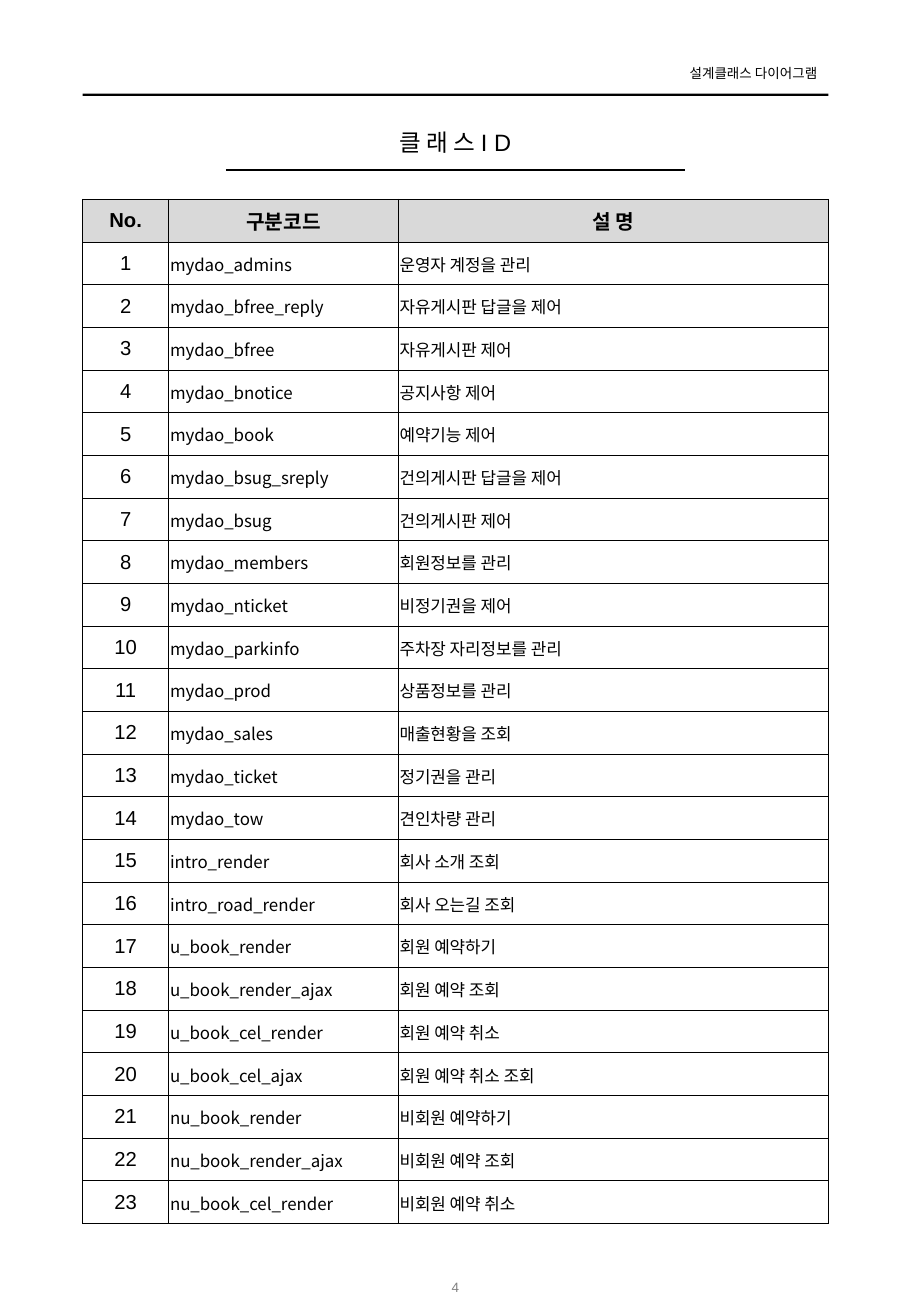
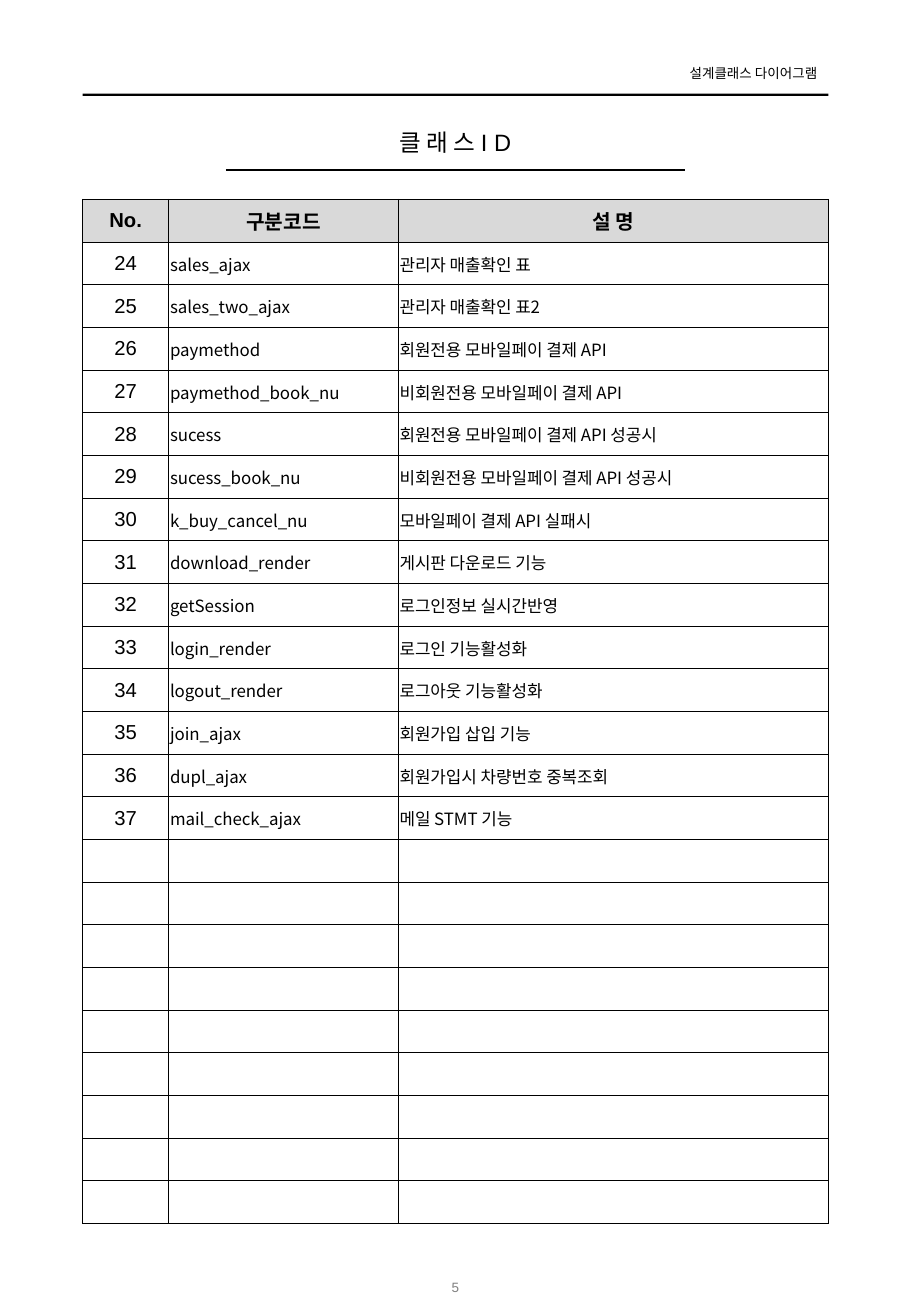
from dataclasses import dataclass
from itertools import zip_longest

from lxml.etree import SubElement
from pptx import Presentation
from pptx.dml.color import RGBColor
from pptx.enum.shapes import MSO_CONNECTOR, MSO_SHAPE
from pptx.enum.text import MSO_ANCHOR, MSO_AUTO_SIZE, PP_ALIGN
from pptx.oxml import parse_xml
from pptx.oxml.ns import nsdecls, qn
from pptx.util import Inches, Pt


@dataclass(frozen=True)
class Theme:
    ink: str = "000000"
    muted: str = "808080"
    header_fill: str = "D9D9D9"
    paper: str = "FFFFFF"
    heading_font: str = "Arial"
    body_font: str = "Noto Sans CJK KR"
    small_size: float = 8
    body_size: float = 10
    table_size: float = 12
    title_size: float = 14
    border_width: float = 0.5


@dataclass(frozen=True)
class Grid:
    width: float = 7.5
    height: float = 10.83
    margin: float = 0.68
    content: float = 6.14
    table_top: float = 1.64
    table_height: float = 8.43
    body_rows: int = 23
    columns: tuple = (0.71, 1.89, 3.54)


THEME = Theme()
GRID = Grid()
RUNNING_HEAD = "설계클래스 다이어그램"
TITLE = "클 래 스 I D"
HEADINGS = ("No.", "구분코드", "설 명")
FIRST_PAGE = 4
CLASSES = (
    ("mydao_admins", "운영자 계정을 관리"),
    ("mydao_bfree_reply", "자유게시판 답글을 제어"),
    ("mydao_bfree", "자유게시판 제어"),
    ("mydao_bnotice", "공지사항 제어"),
    ("mydao_book", "예약기능 제어"),
    ("mydao_bsug_sreply", "건의게시판 답글을 제어"),
    ("mydao_bsug", "건의게시판 제어"),
    ("mydao_members", "회원정보를 관리"),
    ("mydao_nticket", "비정기권을 제어"),
    ("mydao_parkinfo", "주차장 자리정보를 관리"),
    ("mydao_prod", "상품정보를 관리"),
    ("mydao_sales", "매출현황을 조회"),
    ("mydao_ticket", "정기권을 관리"),
    ("mydao_tow", "견인차량 관리"),
    ("intro_render", "회사 소개 조회"),
    ("intro_road_render", "회사 오는길 조회"),
    ("u_book_render", "회원 예약하기"),
    ("u_book_render_ajax", "회원 예약 조회"),
    ("u_book_cel_render", "회원 예약 취소"),
    ("u_book_cel_ajax", "회원 예약 취소 조회"),
    ("nu_book_render", "비회원 예약하기"),
    ("nu_book_render_ajax", "비회원 예약 조회"),
    ("nu_book_cel_render", "비회원 예약 취소"),
    ("sales_ajax", "관리자 매출확인 표"),
    ("sales_two_ajax", "관리자 매출확인 표2"),
    ("paymethod", "회원전용 모바일페이 결제 API"),
    ("paymethod_book_nu", "비회원전용 모바일페이 결제 API"),
    ("sucess", "회원전용 모바일페이 결제 API 성공시"),
    ("sucess_book_nu", "비회원전용 모바일페이 결제 API 성공시"),
    ("k_buy_cancel_nu", "모바일페이 결제 API 실패시"),
    ("download_render", "게시판 다운로드 기능"),
    ("getSession", "로그인정보 실시간반영"),
    ("login_render", "로그인 기능활성화"),
    ("logout_render", "로그아웃 기능활성화"),
    ("join_ajax", "회원가입 삽입 기능"),
    ("dupl_ajax", "회원가입시 차량번호 중복조회"),
    ("mail_check_ajax", "메일 STMT 기능"),
)


def color(value):
    return RGBColor.from_string(value)


def set_text(text_frame, text, size, align, font=THEME.heading_font, ink=THEME.ink, bold=False):
    text_frame.text = text
    paragraph = text_frame.paragraphs[0]
    paragraph.alignment = align
    for run in paragraph.runs:
        run.font.name = font
        run.font.size = Pt(size)
        run.font.bold = bold
        run.font.color.rgb = color(ink)
        if font == THEME.body_font:
            SubElement(run.font._element, qn("a:ea"), typeface=font)


def set_margins(target, left, top, right, bottom):
    target.margin_left, target.margin_top = Inches(left), Inches(top)
    target.margin_right, target.margin_bottom = Inches(right), Inches(bottom)


def format_frame(text_frame, margins):
    text_frame.word_wrap = True
    text_frame.auto_size = MSO_AUTO_SIZE.NONE
    text_frame.vertical_anchor = MSO_ANCHOR.MIDDLE
    set_margins(text_frame, *margins)


def add_label(slide, box, text, align, margins, ink=THEME.ink):
    label = slide.shapes.add_textbox(*map(Inches, box))
    format_frame(label.text_frame, margins)
    set_text(label.text_frame, text, THEME.small_size, align, ink=ink)


def add_bar(slide, box):
    bar = slide.shapes.add_shape(MSO_SHAPE.RECTANGLE, *map(Inches, box))
    bar.shadow.inherit = False
    bar.fill.solid()
    bar.fill.fore_color.rgb = color(THEME.ink)
    bar.line.fill.background()


def add_rule(slide, left, right, top):
    ends = map(Inches, (left, top, right, top))
    rule = slide.shapes.add_connector(MSO_CONNECTOR.STRAIGHT, *ends)
    rule.line.color.rgb = color(THEME.ink)
    rule.line.width = Pt(1)
    SubElement(rule._element.spPr, qn("a:effectLst"))


def set_title(slide):
    title = slide.shapes.title
    title.left, title.top = Inches(GRID.margin), Inches(1.01)
    title.width, title.height = Inches(GRID.content), Inches(0.32)
    format_frame(title.text_frame, (0, 0.05, 0, 0.05))
    set_text(title.text_frame, TITLE, THEME.title_size, PP_ALIGN.CENTER)


def add_frame(slide, page):
    add_bar(slide, (GRID.margin, 0.77, GRID.content, 0.02))
    add_label(slide, (5.47, 0.48, 1.34, 0.24), RUNNING_HEAD, PP_ALIGN.RIGHT, (0.1, 0.05, 0.08, 0.05))
    add_rule(slide, 1.86, 5.64, 1.4)
    set_title(slide)
    page_box = ((GRID.width - 0.94) / 2, 10.39, 0.94, 0.4)
    add_label(slide, page_box, str(page), PP_ALIGN.CENTER, (0.1, 0.05, 0.1, 0.05), THEME.muted)


def set_borders(cell):
    properties = cell._tc.get_or_add_tcPr()
    for index, side in enumerate(("lnL", "lnR", "lnT", "lnB")):
        properties.insert(index, parse_xml(
            f'<a:{side} {nsdecls("a")} w="{Pt(THEME.border_width)}"><a:solidFill>'
            f'<a:srgbClr val="{THEME.ink}"/></a:solidFill></a:{side}>'))


def fill_cell(cell, text, is_header, is_number):
    cell.vertical_anchor = MSO_ANCHOR.MIDDLE
    cell.fill.solid()
    cell.fill.fore_color.rgb = color(THEME.header_fill if is_header else THEME.paper)
    set_borders(cell)
    if is_header or is_number:
        set_margins(cell, 0.1, 0, 0.1, 0)
        set_text(cell.text_frame, text, THEME.table_size, PP_ALIGN.CENTER, bold=is_header)
    else:
        set_margins(cell, 0.01, 0.01, 0.01, 0)
        set_text(cell.text_frame, text, THEME.body_size, PP_ALIGN.LEFT, THEME.body_font)


def add_class_table(slide, rows):
    row_count = GRID.body_rows + 1
    box = map(Inches, (GRID.margin, GRID.table_top, GRID.content, GRID.table_height))
    table = slide.shapes.add_table(row_count, len(GRID.columns), *box).table
    table.first_row = table.horz_banding = False
    for column, width in zip(table.columns, GRID.columns):
        column.width = Inches(width)
    for row in table.rows:
        row.height = Inches(GRID.table_height / row_count)
    blank = ("",) * len(HEADINGS)
    lines = zip_longest(table.rows, [HEADINGS, *rows], fillvalue=blank)
    for row_index, (row, texts) in enumerate(lines):
        for column_index, (cell, text) in enumerate(zip(row.cells, texts)):
            fill_cell(cell, text, row_index == 0, column_index == 0)


def main():
    presentation = Presentation()
    presentation.slide_width = Inches(GRID.width)
    presentation.slide_height = Inches(GRID.height)
    numbered = [(str(number), *entry) for number, entry in enumerate(CLASSES, 1)]
    starts = range(0, len(numbered), GRID.body_rows)
    for page, start in enumerate(starts, FIRST_PAGE):
        slide = presentation.slides.add_slide(presentation.slide_layouts[5])
        add_frame(slide, page)
        add_class_table(slide, numbered[start:start + GRID.body_rows])
    presentation.save("out.pptx")


if __name__ == "__main__":
    main()
